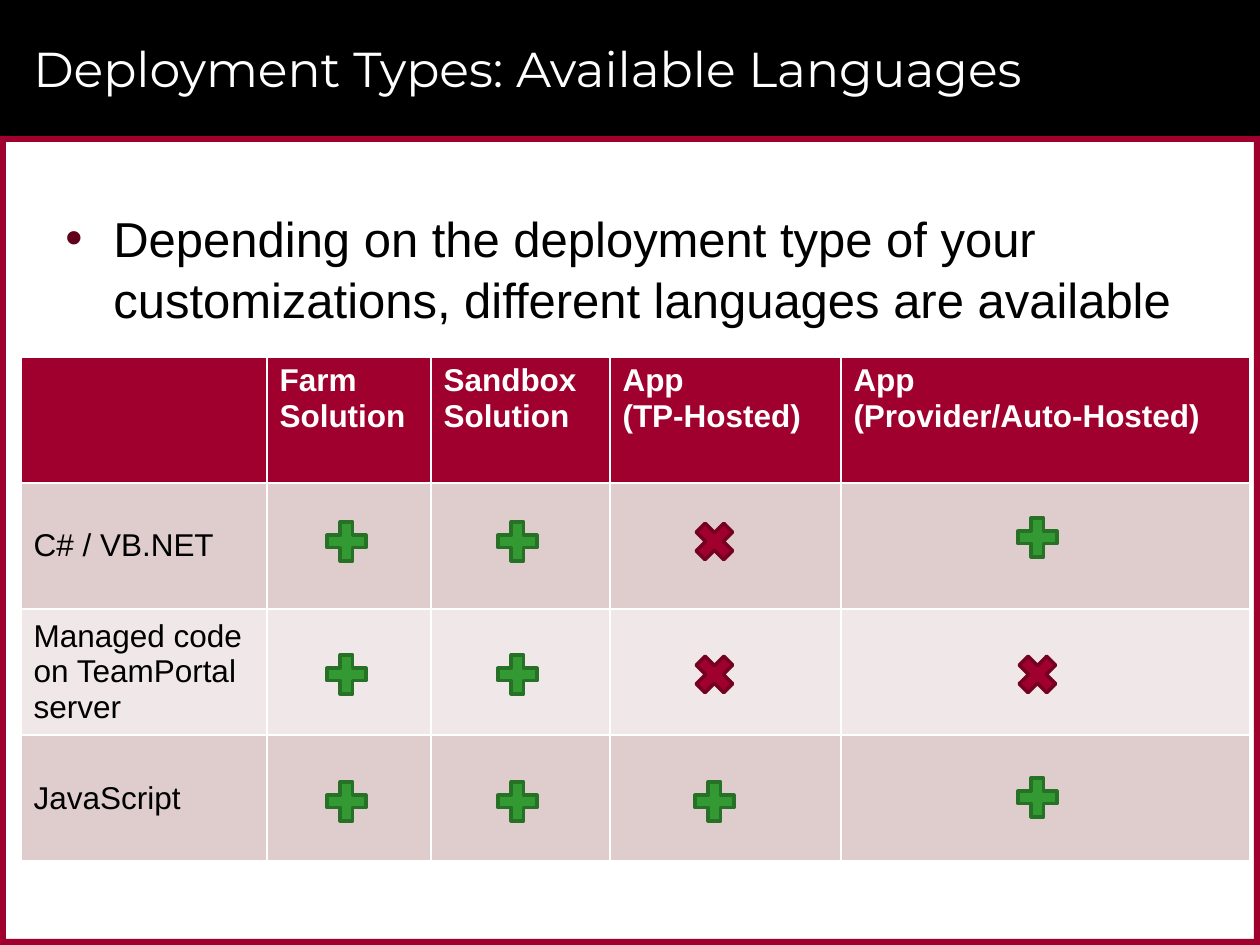
from dataclasses import dataclass

from lxml import etree
from pptx import Presentation
from pptx import util as u
from pptx.dml.color import RGBColor
from pptx.enum import shapes, text
from pptx.oxml.ns import qn

TITLE = "Deployment Types: Available Languages"
INTRO = ("Depending on the deployment type of your customizations, "
         "different languages are available")
DEPLOYMENTS = ["", "Farm Solution", "Sandbox Solution",
               "App\v(TP-Hosted)", "App\v(Provider/Auto-Hosted)"]
LANGUAGES = [
    ("C# / VB.NET", "++×+"),
    ("Managed code on TeamPortal server", "++××"),
    ("JavaScript", "++++"),
]


@dataclass(frozen=True)
class Theme:
    black: str = "000000"
    white: str = "FFFFFF"
    crimson: str = "9F002D"
    crimson_edge: str = "760021"
    bullet: str = "60001B"
    green: str = "339933"
    green_edge: str = "267126"
    bands: tuple = ("DFCCCD", "F0E7E8")
    title_font: str = "Montserrat"
    body_font: str = "Arial"
    large: int = 28
    small: int = 18


THEME = Theme()
WIDTH, HEIGHT = 1260, 945
HEADER_H, FRAME = 136, 6
TABLE_X, TABLE_Y, ROW_H = 21, 357, 126
COLUMNS = [246, 164, 179, 231, 409]
MARK_X, MARK_Y = [320, 491, 688, 1011], [515, 648, 775]
MARK_SIZE, LAST_PLUS_LIFT = 53, 4
BULLET_INDENT = 48
MARKS = {
    "+": (shapes.MSO_SHAPE.MATH_PLUS, THEME.green, THEME.green_edge),
    "×": (shapes.MSO_SHAPE.MATH_MULTIPLY, THEME.crimson, THEME.crimson_edge),
}


def px(n):
    return u.Emu(round(n * 914400 / 126))


def rgb(color):
    return RGBColor.from_string(color)


def style(paragraph, size, color, font=THEME.body_font, bold=False):
    paragraph.font.size = u.Pt(size)
    paragraph.font.name = font
    paragraph.font.bold = bold
    paragraph.font.color.rgb = rgb(color)


def add_filled(slide, kind, box, fill, edge=None):
    shape = slide.shapes.add_shape(kind, *map(px, box))
    shape.shadow.inherit = False
    shape.fill.solid()
    shape.fill.fore_color.rgb = rgb(fill)
    if edge:
        shape.line.color.rgb = rgb(edge)
        shape.line.width = u.Pt(2)
    else:
        shape.line.fill.background()


def add_text(slide, box, words, anchor):
    frame = slide.shapes.add_textbox(*map(px, box)).text_frame
    frame.word_wrap = True
    frame.vertical_anchor = anchor
    frame.text = words
    return frame.paragraphs[0]


def add_bullet(paragraph):
    properties = paragraph._p.get_or_add_pPr()
    properties.set("marL", str(px(BULLET_INDENT)))
    properties.set("indent", str(-px(BULLET_INDENT)))
    color = etree.SubElement(properties, qn("a:buClr"))
    etree.SubElement(color, qn("a:srgbClr"), val=THEME.bullet)
    etree.SubElement(properties, qn("a:buFont"), typeface=THEME.body_font)
    etree.SubElement(properties, qn("a:buChar"), char="•")


def add_frame(slide):
    side_h = HEIGHT - HEADER_H
    add_filled(slide, shapes.MSO_SHAPE.RECTANGLE, (0, 0, WIDTH, HEADER_H), THEME.black)
    for edge in [(0, HEADER_H, WIDTH, FRAME), (0, HEIGHT - FRAME, WIDTH, FRAME),
                 (WIDTH - FRAME, HEADER_H, FRAME, side_h), (0, HEADER_H, FRAME, side_h)]:
        add_filled(slide, shapes.MSO_SHAPE.RECTANGLE, edge, THEME.crimson)


def add_language_table(slide):
    rows = [DEPLOYMENTS] + [[name] + [""] * len(marks) for name, marks in LANGUAGES]
    box = (TABLE_X, TABLE_Y, sum(COLUMNS), ROW_H * len(rows))
    table = slide.shapes.add_table(len(rows), len(COLUMNS), *map(px, box)).table
    for column, width in zip(table.columns, COLUMNS):
        column.width = px(width)
    for r, row in enumerate(rows):
        header = r == 0
        table.rows[r].height = px(ROW_H)
        for c, words in enumerate(row):
            cell = table.cell(r, c)
            cell.text = words
            cell.fill.solid()
            cell.fill.fore_color.rgb = rgb(
                THEME.crimson if header else THEME.bands[(r - 1) % 2])
            cell.vertical_anchor = (
                text.MSO_ANCHOR.TOP if header else text.MSO_ANCHOR.MIDDLE)
            style(cell.text_frame.paragraphs[0], THEME.small,
                  THEME.white if header else THEME.black, bold=header)


def add_marks(slide):
    for (_, marks), y in zip(LANGUAGES, MARK_Y):
        for mark, x in zip(marks, MARK_X):
            lift = LAST_PLUS_LIFT if mark == "+" and x == MARK_X[-1] else 0
            kind, fill, edge = MARKS[mark]
            add_filled(slide, kind, (x, y - lift, MARK_SIZE, MARK_SIZE), fill, edge)


def main():
    deck = Presentation()
    deck.slide_width, deck.slide_height = px(WIDTH), px(HEIGHT)
    slide = deck.slides.add_slide(deck.slide_layouts[6])
    add_frame(slide)

    title = add_text(slide, (21, 10, 1187, 116), TITLE, text.MSO_ANCHOR.MIDDLE)
    style(title, THEME.large, THEME.white, THEME.title_font)

    intro = add_text(slide, (53, 199, 1155, 714), INTRO, text.MSO_ANCHOR.TOP)
    intro.line_spacing = 1.05
    intro.space_before, intro.space_after = u.Pt(6), u.Pt(2)
    add_bullet(intro)
    style(intro, THEME.large, THEME.black)

    add_language_table(slide)
    add_marks(slide)
    deck.save("out.pptx")


if __name__ == "__main__":
    main()
